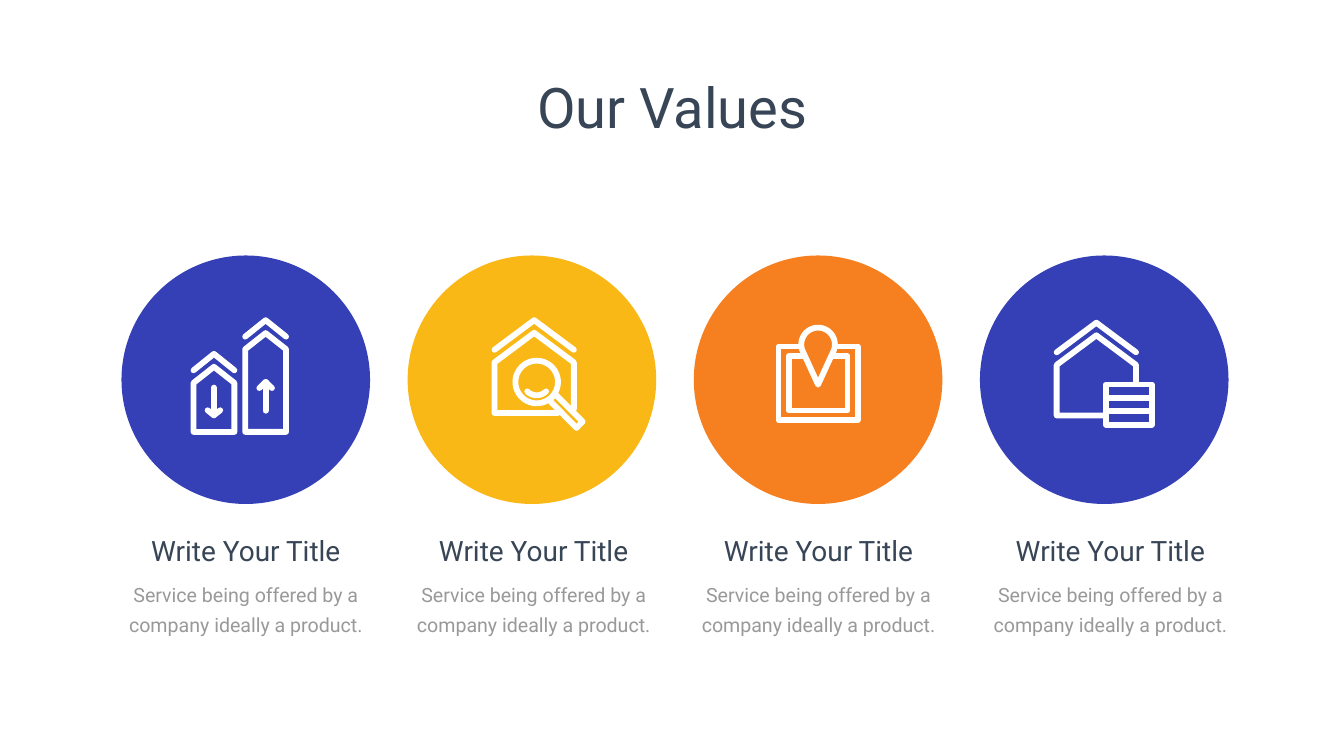
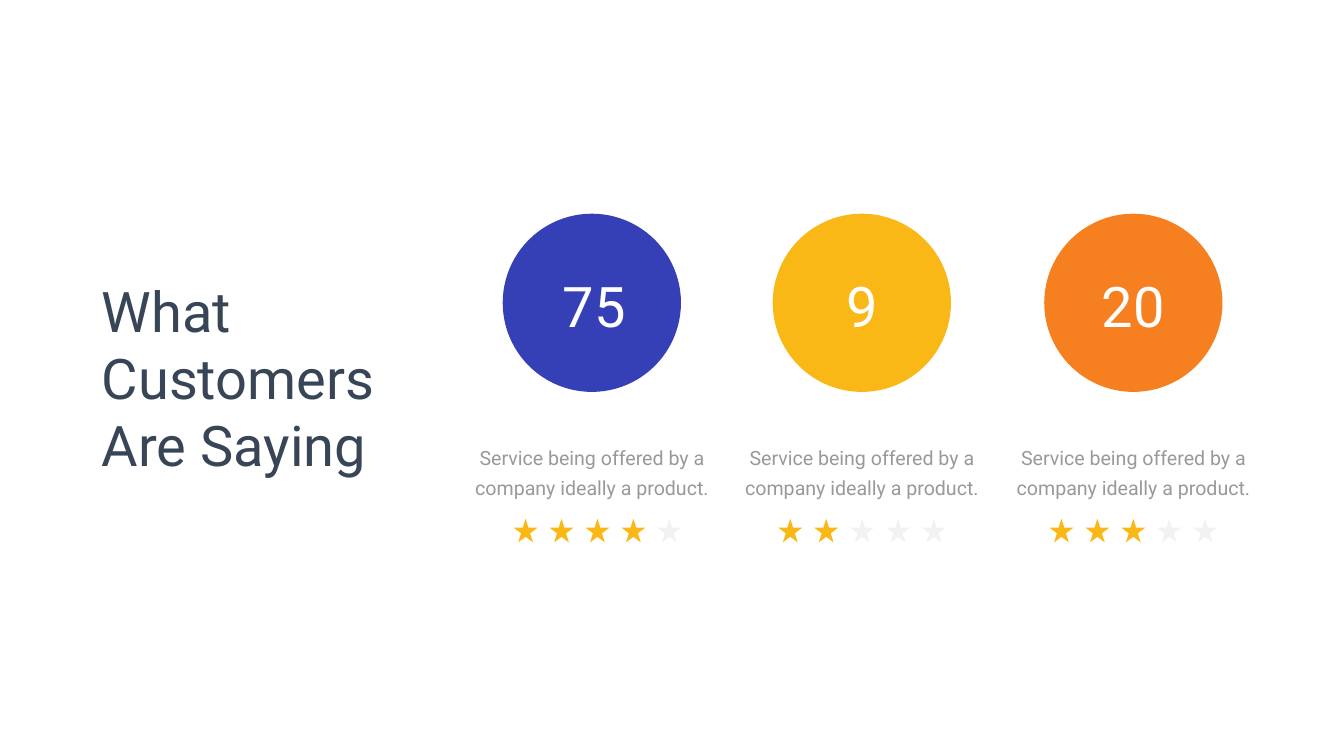
"""Builds two slides: company values with line icons, and customer ratings."""
from dataclasses import dataclass
from math import cos, radians, sin

from lxml import etree
from pptx import Presentation
from pptx.dml.color import RGBColor
from pptx.enum import shapes, text
from pptx.oxml.ns import qn
from pptx.util import Pt

COLORS = {"blue": "3540B6", "yellow": "FAB817", "orange": "F68020", "navy": "374556",
          "grey": "999999", "star": "808080", "white": "FFFFFF"}
FONT = "Roboto"
CAPTION = "Service being offered by a company ideally a product."
ICON_STROKE = 8.3
ROOF_LIFT = 18
CENTER, LEFT = text.PP_ALIGN.CENTER, text.PP_ALIGN.LEFT

Line = list[tuple[float, float]]
Icon = list[list[Line]]


@dataclass
class Value:
    color: str
    text_center: float
    icon: Icon


@dataclass
class Rating:
    color: str
    left: float
    number: str
    number_center: float
    stars_left: float
    stars: int


def rgb(name: str) -> RGBColor:
    return RGBColor.from_string(COLORS[name])


def arc(cx: float, cy: float, radius: float, start: int, end: int) -> Line:
    return [(cx + radius * cos(radians(a)), cy + radius * sin(radians(a)))
            for a in range(start, end + 1, 5)]


def gable(cx: float, half: float, eave: float, rise: float) -> Line:
    return [(cx - half, eave), (cx, eave - rise), (cx + half, eave)]


def tower(cx: float, eave: float) -> Icon:
    walls = gable(cx, 29.2, eave, 23)
    base = [(cx + 29.2, 74.5), (cx - 29.2, 74.5)]
    return [[walls + base + walls[:1]], [gable(cx, 29.2, eave - ROOF_LIFT, 23.5)]]


def arrow(cx: float, tail: float, tip: float, wing: float) -> list[Line]:
    return [[(cx, tail), (cx, tip)], [(cx - 9, wing), (cx, tip), (cx + 9, wing)]]


def house(cx: float, eave: float, base: float, base_end: float, wall_end: float) -> Icon:
    half, rise = 56.7, 42.3
    walls = [(base_end, base), (cx - half, base), *gable(cx, half, eave, rise),
             (cx + half, wall_end)]
    return [[walls], [gable(cx, half, eave - ROOF_LIFT, rise)]]


def frame(half: float, top: float, bottom: float, gap: float) -> Line:
    return [(-gap, top), (-half, top), (-half, bottom),
            (half, bottom), (half, top), (gap, top)]


def coins(left: float, right: float, top: float, pitch: float) -> list[Line]:
    rows = [top + i * pitch for i in range(4)]
    border = [(left, rows[0]), (right, rows[0]), (right, rows[3]),
              (left, rows[3]), (left, rows[0])]
    return [border] + [[(left, y), (right, y)] for y in rows[1:3]]


TOWERS = (tower(28.4, -43.6) + tower(-45.4, 4.5)
          + [arrow(-45.5, 11.2, 50.8, 43.6), arrow(28.4, 44.3, 3.2, 11.9)])
HANDLE = [(24.8, 29.2), (33, 20.5), (72.4, 60), (63.7, 68.8), (24.8, 29.2)]
SEARCH = house(3.2, -24.8, 47.5, 37, 42) + [
    [arc(6.8, 3.2, 30.4, 0, 360)], [HANDLE], [arc(6.8, 3.2, 19, 45, 135)]]
PIN = arc(0, -50.4, 24, 160, 380)
MAP = [[frame(56.5, -47.5, 57.6, 26), frame(42, -33.8, 43.9, 21)],
       [PIN + [(0, 7), PIN[0]]]]
SAVINGS = house(-11.3, -21.2, 51, -2, 3) + [coins(2.5, 67.7, 6.8, 19.2)]

VALUES = [Value("blue", 351, TOWERS), Value("yellow", 762.1, SEARCH),
          Value("orange", 1168.9, MAP), Value("blue", 1585.8, SAVINGS)]
RATINGS = [Rating("blue", 718, "75", 848.9, 733.7, 4),
           Rating("yellow", 1103.6, "9", 1231.2, 1111.7, 2),
           Rating("orange", 1491.4, "20", 1618.6, 1499, 3)]


def add_run(p, words: str, size: float, color: str, align=CENTER) -> None:
    p.alignment = align
    r = p.add_run()
    r.text = words
    r.font.size, r.font.name = Pt(size), FONT
    r.font.color.rgb = rgb(color)


def add_title(s, words: str, box: tuple, align) -> None:
    sp = s.shapes.title
    sp.left, sp.top, sp.width, sp.height = map(Pt, box)
    tf = sp.text_frame
    tf.word_wrap = True
    tf.auto_size = text.MSO_AUTO_SIZE.SHAPE_TO_FIT_TEXT
    tf.vertical_anchor = text.MSO_ANCHOR.TOP
    add_run(tf.paragraphs[0], words, 80, "navy", align)


def add_text(s, words: str, center: float, top: float, width: float, height: float,
             size: float, color: str):
    box = s.shapes.add_textbox(Pt(center - width / 2), Pt(top), Pt(width), Pt(height))
    tf = box.text_frame
    tf.word_wrap = True
    tf.auto_size = text.MSO_AUTO_SIZE.SHAPE_TO_FIT_TEXT
    add_run(tf.paragraphs[0], words, size, color)
    return tf


def add_caption(s, center: float, top: float, width: float, height: float):
    tf = add_text(s, CAPTION, center, top, width, height, 28, "grey")
    tf.paragraphs[0].line_spacing = Pt(43)
    return tf


def add_filled(s, kind, left: float, top: float, size: float, color: str):
    sp = s.shapes.add_shape(kind, Pt(left), Pt(top), Pt(size), Pt(size))
    sp.shadow.inherit = False
    sp.fill.solid()
    sp.fill.fore_color.rgb = rgb(color)
    sp.line.fill.background()
    return sp


def add_icon(s, icon: Icon, cx: float, cy: float) -> None:
    for strokes in icon:
        points = [[(Pt(cx + x), Pt(cy + y)) for x, y in line] for line in strokes]
        builder = s.shapes.build_freeform(*points[0][0])
        for i, line in enumerate(points):
            if i:
                builder.move_to(*line[0])
            builder.add_line_segments(line[1:], close=line[0] == line[-1])
        sp = builder.convert_to_shape()
        sp.shadow.inherit = False
        sp.fill.background()
        sp.line.color.rgb = rgb("white")
        sp.line.width = Pt(ICON_STROKE)
        ln = sp.line._get_or_add_ln()
        ln.set("cap", "rnd")
        etree.SubElement(ln, qn("a:round"))


def add_stars(s, left: float, top: float, count: int) -> None:
    for i in range(5):
        color = "yellow" if i < count else "star"
        star = add_filled(s, shapes.MSO_SHAPE.STAR_5_POINT, left + i * 51.3, top, 34, color)
        if i >= count:
            clr = star.element.spPr.find(qn("a:solidFill"))[0]
            etree.SubElement(clr, qn("a:alpha")).set("val", "10000")


def new_slide(prs):
    s = prs.slides.add_slide(prs.slide_layouts[5])
    s.background.fill.solid()
    s.background.fill.fore_color.rgb = rgb("white")
    return s


def build_values(prs) -> None:
    s = new_slide(prs)
    add_title(s, "Our Values", (632.9, 100, 654.5, 104.4), CENTER)
    diameter, top, pitch = 355, 365, 408.7
    for i, value in enumerate(VALUES):
        left = 173.5 + i * pitch
        add_filled(s, shapes.MSO_SHAPE.OVAL, left, top, diameter, value.color)
        add_icon(s, value.icon, left + diameter / 2, top + diameter / 2)
        tf = add_caption(s, value.text_center, 815, 406.8, 100)
        tf.margin_left = tf.margin_right = Pt(17.28)
        tf.margin_top = tf.margin_bottom = Pt(8.64)
        add_text(s, "Write Your Title", value.text_center, 758.2, 383.8, 55.4, 40, "navy")


def build_ratings(prs) -> None:
    s = new_slide(prs)
    add_title(s, "What Customers Are Saying", (138.2, 391, 514.8, 298), LEFT)
    diameter = 254.6
    for rating in RATINGS:
        add_filled(s, shapes.MSO_SHAPE.OVAL, rating.left, 305.3, diameter, rating.color)
        add_text(s, rating.number, rating.number_center, 384.5, 146.9, 104.4, 80, "white")
        add_caption(s, rating.left + diameter / 2, 624.2, 389.5, 90)
        add_stars(s, rating.stars_left, 740.9, rating.stars)


def main() -> None:
    prs = Presentation()
    prs.slide_width, prs.slide_height = Pt(1919.52), Pt(1080)
    build_values(prs)
    build_ratings(prs)
    prs.save("out.pptx")


if __name__ == "__main__":
    main()
